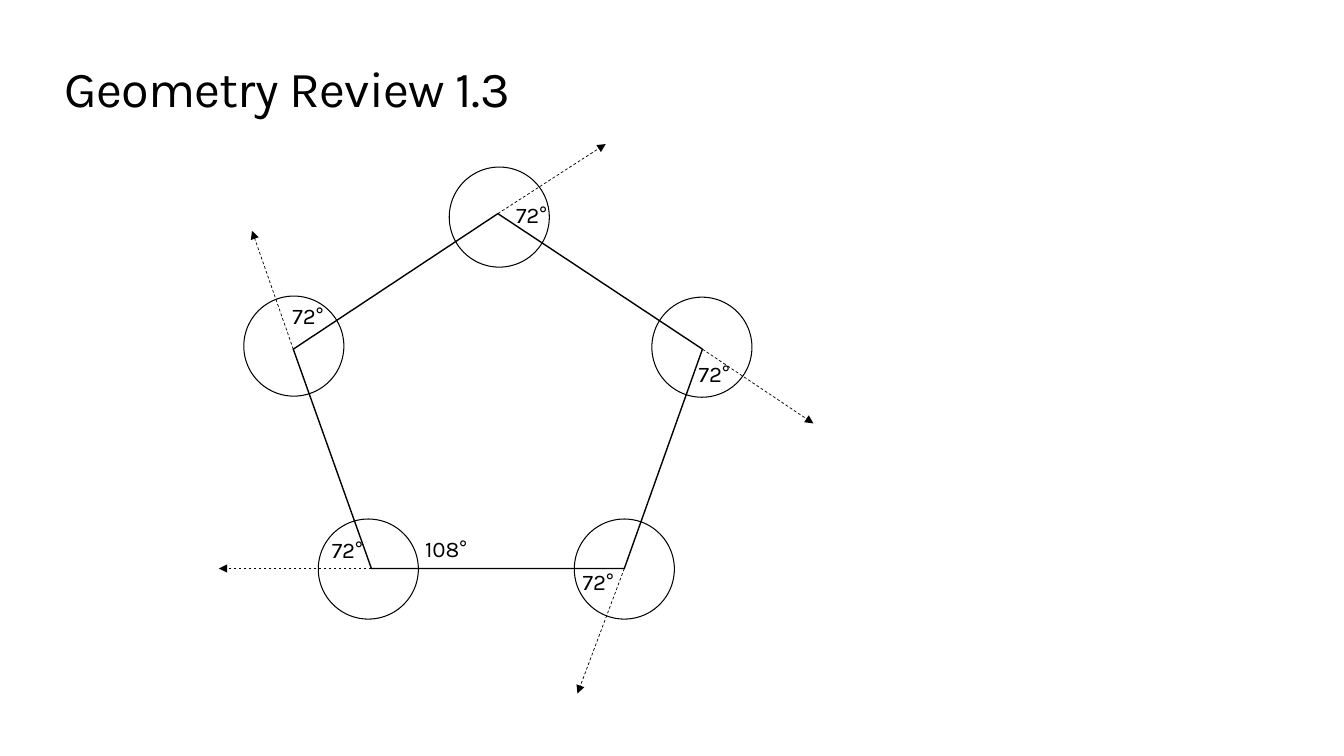
from lxml import etree
from pptx import Presentation
from pptx import util as u
from pptx.dml import color
from pptx.enum import dml, shapes, text
from pptx.oxml import ns

BLACK = "000000"
FONT = "Karla"
CIRCLE = 71.5   # diameter of the circle at each vertex
LABEL_H = 26.6

# Vertex as a fraction of the pentagon's box, then offsets from that vertex
# in points: tip of the ray, centre of the circle, labels with centre and width
VERTICES = [
    ((0.5, 0), (77, -49.7), (1, 2.5), [("72°", 24, 0.4, 38)]),
    ((1, 0.382), (79.2, 53), (-0.4, -1.4), [("72°", 8.3, 17.3, 38)]),
    ((0.809, 1), (-33.5, 89.3), (0, 0.4), [("72°", -18.7, 9, 38)]),
    ((0.191, 1), (-109, 0), (-2.2, 0.4),
     [("72°", -17.3, -13.3, 38), ("108°", 53.3, -14, 47)]),
    ((0, 0.382), (-29.5, -84.6), (0.4, -2.2), [("72°", 10.4, -23.8, 38)]),
]


def rgb(value):
    return color.RGBColor.from_string(value)


def points(*lengths):
    return [u.Pt(length) for length in lengths]


def apply(target, values):
    for name, value in values.items():
        setattr(target, name, value)


def write(frame, words, size, frame_format, align):
    apply(frame, {"margin_left": 0, "margin_right": 0, "margin_top": 0,
                  "margin_bottom": 0,
                  "vertical_anchor": text.MSO_ANCHOR.MIDDLE, **frame_format})
    paragraph = frame.paragraphs[0]
    paragraph.alignment = align
    run = paragraph.add_run()
    run.text = words
    apply(run.font, {"size": u.Pt(size), "name": FONT})
    run.font.color.rgb = rgb(BLACK)
    return run


def add_title(slide, box, words):
    title = slide.shapes.title
    apply(title, dict(zip(("left", "top", "width", "height"), points(*box))))
    run = write(title.text_frame, words, 36,
                {"word_wrap": True, "auto_size": text.MSO_AUTO_SIZE.NONE},
                text.PP_ALIGN.LEFT)
    run.font._element.set("spc", "-50")


def add_outline(figure, kind, box, weight):
    outline = figure.shapes.add_shape(kind, *points(*box))
    outline.shadow.inherit = False
    outline.fill.background()
    outline.line.color.rgb = rgb(BLACK)
    outline.line.width = u.Pt(weight)


def add_ray(figure, start, tip):
    ray = figure.shapes.add_connector(shapes.MSO_CONNECTOR.STRAIGHT,
                                      *points(*start, *tip))
    ray.line.color.rgb = rgb(BLACK)
    apply(ray.line, {"width": u.Pt(0.5),
                     "dash_style": dml.MSO_LINE_DASH_STYLE.DASH})
    # Arrowhead at the tip, and no shadow
    etree.SubElement(ray.line._get_or_add_ln(), ns.qn("a:tailEnd"), type="triangle")
    etree.SubElement(ray._element.spPr, ns.qn("a:effectLst"))


def add_angle(figure, words, x, y, width):
    angle = figure.shapes.add_textbox(
        *points(x - width / 2, y - LABEL_H / 2, width, LABEL_H))
    write(angle.text_frame, words, 16, {"word_wrap": False}, text.PP_ALIGN.CENTER)


def add_pentagon(slide, box):
    left, top, width, height = box
    figure = slide.shapes.add_group_shape()
    add_outline(figure, shapes.MSO_SHAPE.REGULAR_PENTAGON, box, 1)

    for (across, down), ray, circle, angles in VERTICES:
        x, y = left + across * width, top + down * height
        # Extended side
        add_ray(figure, (x, y), (x + ray[0], y + ray[1]))
        # Circle around the vertex
        add_outline(figure, shapes.MSO_SHAPE.OVAL,
                    (x + circle[0] - CIRCLE / 2, y + circle[1] - CIRCLE / 2,
                     CIRCLE, CIRCLE), 0.75)
        # Angle labels
        for words, dx, dy, label_width in angles:
            add_angle(figure, words, x + dx, y + dy, label_width)


def main():
    deck = Presentation()
    apply(deck, {"slide_width": u.Pt(960), "slide_height": u.Pt(540)})
    slide = deck.slides.add_slide(deck.slide_layouts[5])
    add_title(slide, (46, 40.5, 868, 44), "Geometry Review 1.3")
    add_pentagon(slide, (209.5, 152.6, 292.3, 253.5))
    deck.save("out.pptx")


if __name__ == "__main__":
    main()
